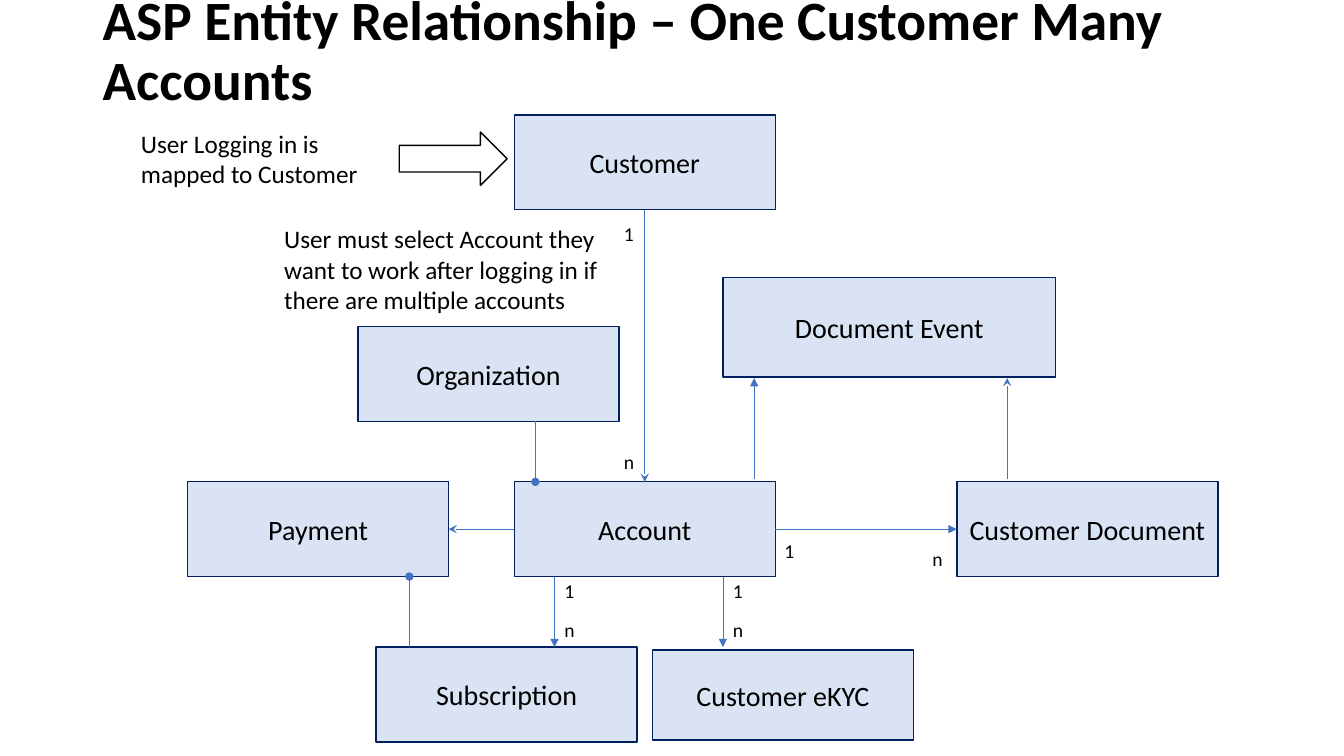
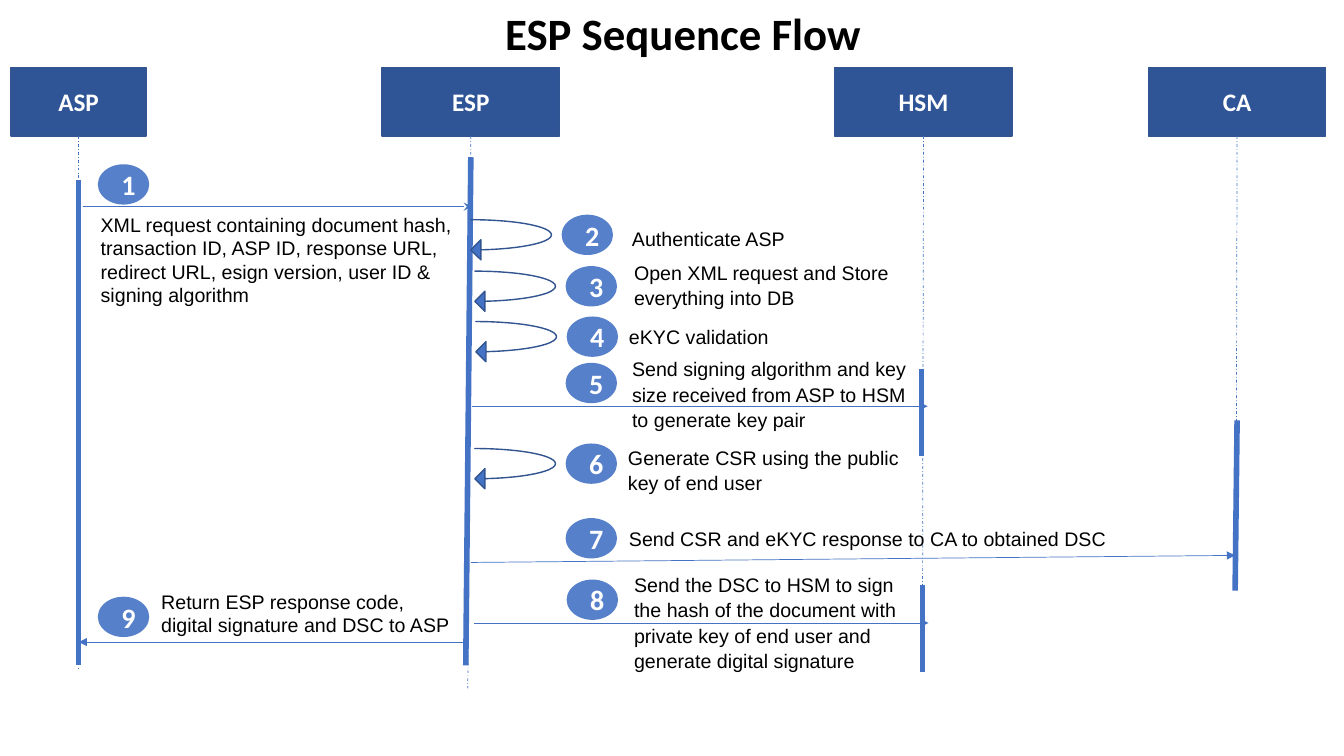
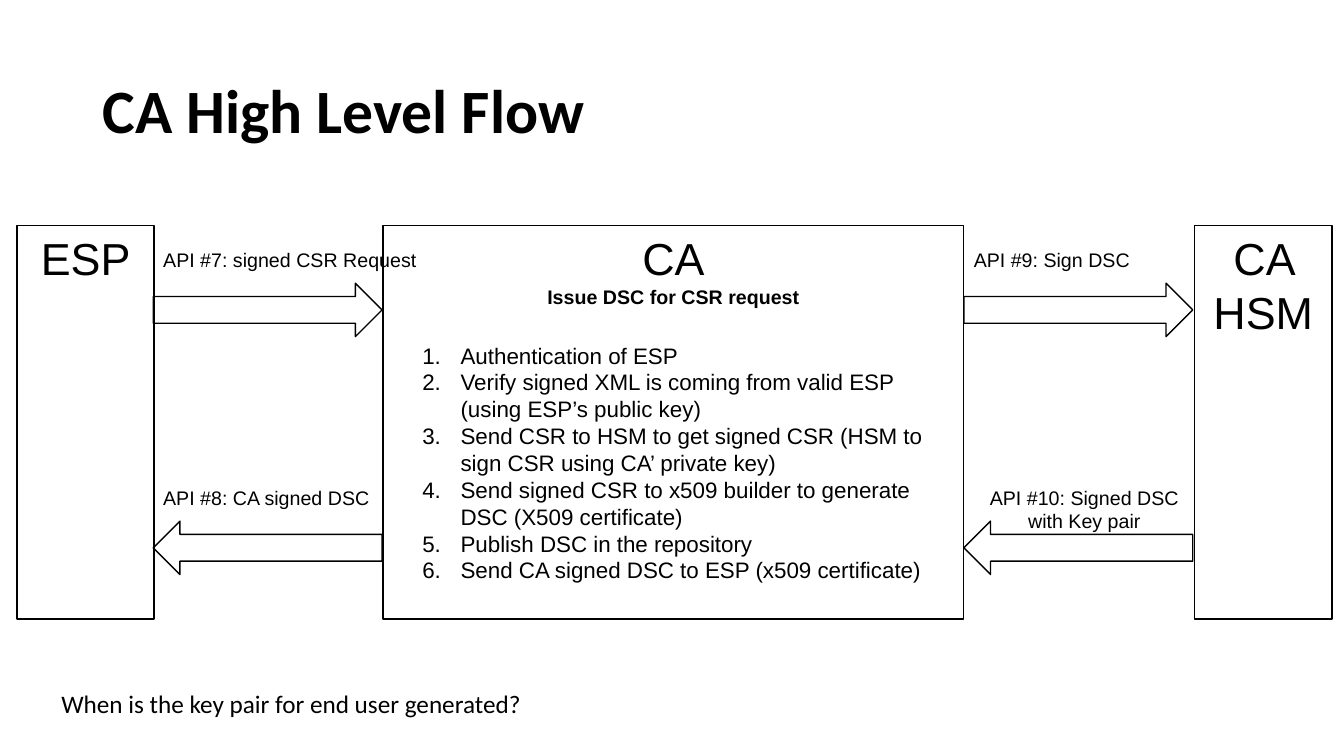
"""Build three slides on the entities and flows of an e-sign service."""
from dataclasses import dataclass, replace
from typing import NamedTuple

from lxml.etree import SubElement
from pptx import Presentation
from pptx.dml.color import RGBColor
from pptx.enum.dml import MSO_LINE
from pptx.enum.shapes import MSO_CONNECTOR, MSO_SHAPE
from pptx.enum.text import MSO_ANCHOR, PP_ALIGN
from pptx.oxml.ns import qn
from pptx.shapes.autoshape import Shape
from pptx.shapes.connector import Connector
from pptx.slide import Slide
from pptx.text.text import TextFrame
from pptx.util import Inches, Length, Pt

TOP, LEFT, BOTTOM, RIGHT = range(4)


@dataclass(frozen=True)
class Style:
    """Look of one kind of text."""

    size: float
    font: str = "Calibri"
    bold: bool = False
    color: str = "000000"
    align: PP_ALIGN = PP_ALIGN.LEFT
    lead: float = 1.0


@dataclass(frozen=True)
class Theme:
    """Colours, line widths and type of the whole deck."""

    black: str = "000000"
    pale: str = "DAE3F3"
    navy: str = "002060"
    blue: str = "4472C4"
    deep: str = "2F5597"
    edge: str = "325491"
    disc: str = "5780CA"
    thin: float = 0.5
    rim: float = 1
    thick: float = 4
    title: Style = Style(44, bold=True, lead=0.9)
    entity: Style = Style(20, align=PP_ALIGN.CENTER)
    mark: Style = Style(14)
    note: Style = Style(18)
    actor: Style = Style(18, bold=True, color="FFFFFF", align=PP_ALIGN.CENTER)
    number: Style = Style(20, bold=True, color="FFFFFF", align=PP_ALIGN.CENTER)
    label: Style = Style(14, "Arial")
    loose: Style = Style(14, "Arial", lead=1.07)
    party: Style = Style(32, "Arial", align=PP_ALIGN.CENTER)
    task: Style = Style(14, "Arial", bold=True, align=PP_ALIGN.CENTER)
    item: Style = Style(16, "Arial")


THEME = Theme()


class Box(NamedTuple):
    """Place on a grid of tenths of an inch."""

    col: float
    row: float
    wide: float
    high: float


class Wire(NamedTuple):
    """Straight line between two grid points, with a tip at its end."""

    x1: float
    y1: float
    x2: float
    y2: float
    tip: str = ""


class Join(NamedTuple):
    """Line glued to the sides of two entities."""

    start: str
    out: int
    end: str
    into: int
    tip: str


class Actor(NamedTuple):
    """Head of a sequence column, its lifeline and its active spans."""

    name: str
    col: float
    wide: float
    foot: tuple[float, float]
    bars: list[Wire]


class Step(NamedTuple):
    """Numbered message of the sequence."""

    number: int
    col: float
    row: float
    text: str
    box: Box
    style: Style = THEME.loose
    loop: bool = False


def cell(count: float) -> Length:
    """Turn grid cells into a length."""
    return Inches(count / 10)


def fill_text(frame: TextFrame, lines: list[tuple[str, Style]],
              anchor: MSO_ANCHOR, listed: bool = False) -> None:
    """Write styled paragraphs, numbered if asked."""
    frame.word_wrap = True
    frame.vertical_anchor = anchor
    for i, (text, style) in enumerate(lines):
        para = frame.paragraphs[0] if i == 0 else frame.add_paragraph()
        para.text = text
        para.alignment = style.align
        para.line_spacing = style.lead
        if listed:
            props = para._p.get_or_add_pPr()
            props.set("marL", str(cell(3.8)))
            props.set("indent", str(-cell(3.8)))
            SubElement(props, qn("a:buAutoNum"), type="arabicPeriod")
        font = para.font
        font.name, font.size, font.bold = style.font, Pt(style.size), style.bold
        font.color.rgb = RGBColor.from_string(style.color)


def add_text(slide: Slide, box: Box, text: str, style: Style,
             anchor: MSO_ANCHOR = MSO_ANCHOR.TOP) -> None:
    """Add a text box of one paragraph."""
    shape = slide.shapes.add_textbox(*map(cell, box))
    fill_text(shape.text_frame, [(text, style)], anchor)


def add_title(slide: Slide, box: Box, text: str, style: Style = THEME.title) -> None:
    """Add the slide title."""
    add_text(slide, box, text, style, MSO_ANCHOR.MIDDLE)


def add_form(slide: Slide, kind: MSO_SHAPE, box: Box,
             fill: str = "", line: str = "") -> Shape:
    """Add a flat preset shape; an empty colour means none."""
    shape = slide.shapes.add_shape(kind, *map(cell, box))
    shape.shadow.inherit = False
    if fill:
        shape.fill.solid()
        shape.fill.fore_color.rgb = RGBColor.from_string(fill)
    else:
        shape.fill.background()
    if line:
        shape.line.color.rgb = RGBColor.from_string(line)
        shape.line.width = Pt(THEME.rim)
    else:
        shape.line.fill.background()
    return shape


def add_block(slide: Slide, box: Box, lines: list[tuple[str, Style]], fill: str = "",
              line: str = THEME.black, anchor: MSO_ANCHOR = MSO_ANCHOR.MIDDLE) -> Shape:
    """Add a rectangle with text."""
    shape = add_form(slide, MSO_SHAPE.RECTANGLE, box, fill, line)
    fill_text(shape.text_frame, lines, anchor)
    return shape


def add_wire(slide: Slide, wire: Wire, width: float = THEME.thin,
             dashed: bool = False) -> Connector:
    """Add a straight line."""
    link = slide.shapes.add_connector(MSO_CONNECTOR.STRAIGHT, *map(cell, wire[:4]))
    link.line.color.rgb = RGBColor.from_string(THEME.blue)
    link.line.width = Pt(width)
    if dashed:
        link.line.dash_style = MSO_LINE.DASH_DOT
    if wire.tip:
        SubElement(link.line._get_or_add_ln(), qn("a:tailEnd"), type=wire.tip)
    SubElement(link._element.spPr, qn("a:effectLst"))
    return link


def draw_model(slide: Slide) -> None:
    """Draw the entity relationship slide."""
    wide, high, mid = 25.9, 9.4, 47.8
    base = mid + high
    add_title(slide, Box(9.2, 0, 124.1, 10.5),
              "ASP Entity Relationship – One Customer Many Accounts",
              replace(THEME.title, size=39.6))
    places = {
        "Customer": Box(51, 11.4, wide, high),
        "Account": Box(51, mid, wide, high),
        "Subscription": Box(37.3, 64.2, wide, high),
        "Customer Document": Box(94.9, mid, wide, high),
        "Customer eKYC": Box(64.7, 64.5, wide, 8.9),
        "Document Event": Box(71.7, 27.5, 33, 9.9),
        "Payment": Box(18.6, mid, wide, high),
        "Organization": Box(35.5, 32.4, wide, high),
    }
    nodes = {name: add_block(slide, box, [(name, THEME.entity)], THEME.pale, THEME.navy)
             for name, box in places.items()}
    joins = [
        Join("Customer", BOTTOM, "Account", TOP, "stealth"),
        Join("Account", RIGHT, "Customer Document", LEFT, "triangle"),
        Join("Account", LEFT, "Payment", RIGHT, "stealth"),
    ]
    for join in joins:
        link = add_wire(slide, Wire(0, 0, 1, 1, join.tip))
        link.begin_connect(nodes[join.start], join.out)
        link.end_connect(nodes[join.end], join.into)
    wires = [
        Wire(55, base, 55, 64.2, "triangle"),
        Wire(71.7, base, 71.7, 64.2, "triangle"),
        Wire(74.8, 47.5, 74.8, 37.5, "triangle"),
        Wire(99.9, 47.5, 99.9, 37.5, "stealth"),
        Wire(53.1, 41.8, 53.1, mid, "oval"),
        Wire(40.6, 64.2, 40.6, base, "oval"),
    ]
    for wire in wires:
        add_wire(slide, wire)
    marks = [("1", 60.9, 21.5), ("n", 60.9, 44.1), ("1", 76.8, 53), ("n", 91.5, 53.8)]
    marks += [(text, col, row) for col in (55, 71.7)
              for text, row in (("1", 56.9), ("n", 60.8))]
    for text, col, row in marks:
        add_text(slide, Box(col, row, 3.1, 3.4), text, THEME.mark)
    add_form(slide, MSO_SHAPE.RIGHT_ARROW, Box(39.6, 13.1, 10.7, 5.3), line=THEME.black)
    add_text(slide, Box(13, 12.2, 27.6, 7.1),
             "User Logging in is mapped to Customer", THEME.note)
    add_text(slide, Box(27.2, 21.7, 36.1, 10.1),
             "User must select Account they want to work after logging in "
             "if there are multiple accounts", THEME.note)


def add_actor(slide: Slide, actor: Actor) -> None:
    """Draw one column of the sequence."""
    head = add_block(slide, Box(actor.col, 6.7, actor.wide, 6.8),
                     [(actor.name, THEME.actor)], THEME.deep, THEME.edge)
    mid = actor.col + actor.wide / 2
    life = add_wire(slide, Wire(mid, 13.5, *actor.foot), dashed=True)
    life.begin_connect(head, BOTTOM)
    for bar in actor.bars:
        add_wire(slide, bar, THEME.thick)


def add_step(slide: Slide, step: Step) -> None:
    """Draw one numbered step with its text and, if any, its loop."""
    disc = add_form(slide, MSO_SHAPE.OVAL, Box(step.col, step.row, 5.1, 4), THEME.disc)
    frame = disc.text_frame
    fill_text(frame, [(str(step.number), THEME.number)], MSO_ANCHOR.MIDDLE)
    frame.margin_left = cell(1)
    frame.margin_right = frame.margin_top = frame.margin_bottom = 0
    add_text(slide, step.box, step.text, step.style)
    if step.loop:
        loop = add_form(slide, MSO_SHAPE.CURVED_LEFT_ARROW,
                        Box(step.col - 9, step.row + 0.5, 8, 4), THEME.blue, THEME.edge)
        for i, value in enumerate((0, 0.5, 0.25)):
            loop.adjustments[i] = value


def draw_sequence(slide: Slide) -> None:
    """Draw the sequence slide."""
    add_title(slide, Box(2.2, 0.5, 131.1, 6.1), "ESP Sequence Flow",
              replace(THEME.title, size=32, align=PP_ALIGN.CENTER))
    actors = [
        Actor("ASP", 1.1, 13.4, (7.8, 66.4), [Wire(7.8, 17.9, 7.8, 66)]),
        Actor("ESP", 37.9, 17.6, (46.4, 68.3), [Wire(46.7, 15.6, 46.2, 66)]),
        Actor("HSM", 82.8, 17.6, (91.5, 59.3),
              [Wire(91.4, 36.6, 91.4, 45.2), Wire(91.5, 58, 91.5, 66.7)]),
        Actor("CA", 113.9, 17.6, (122.6, 54.9), [Wire(122.7, 41.7, 122.5, 58.6)]),
    ]
    for actor in actors:
        add_actor(slide, actor)
    calls = [
        Wire(8.2, 20.5, 46.8, 20.5, "stealth"),
        Wire(46.8, 40.3, 92, 40.3, "triangle"),
        Wire(46.7, 55.8, 122.5, 55.1, "triangle"),
        Wire(47, 61.8, 92.1, 61.8, "triangle"),
        Wire(46.5, 63.7, 7.8, 63.7, "triangle"),
    ]
    for call in calls:
        add_wire(slide, call)
    steps = [
        Step(1, 9.7, 16.3, "XML request containing document hash, transaction ID, ASP ID, "
             "response URL, redirect URL, esign version, user ID & signing algorithm",
             Box(9, 20.6, 38.1, 10.4), THEME.label),
        Step(2, 55.7, 21.3, "Authenticate ASP", Box(61.7, 22, 30.3, 3.4),
             THEME.label, True),
        Step(3, 56.1, 26.4, "Open XML request and Store everything into DB",
             Box(61.9, 25.2, 30.3, 5.9), loop=True),
        Step(4, 56.2, 31.4, "eKYC validation", Box(61.4, 31.6, 29.7, 3.3), loop=True),
        Step(5, 56.1, 36, "Send signing algorithm and key size received from ASP to HSM "
             "to generate key pair", Box(61.7, 34.8, 29.9, 8.4)),
        Step(6, 56.1, 44, "Generate CSR using the public key of end user",
             Box(61.3, 43.6, 29.1, 5.9), loop=True),
        Step(7, 56.1, 51.4, "Send CSR and eKYC response to CA to obtained DSC",
             Box(61.4, 51.6, 49.4, 3.3)),
        Step(8, 56.2, 57.5, "Send the DSC to HSM to sign the hash of the document with "
             "private key of end user and generate digital signature",
             Box(61.9, 56.2, 29.5, 10.9)),
        Step(9, 9.7, 59.2, "Return ESP response code, digital signature and DSC to ASP",
             Box(15, 58, 30.8, 5.7), THEME.label),
    ]
    for step in steps:
        add_step(slide, step)


def draw_flow(slide: Slide) -> None:
    """Draw the high level flow slide."""
    add_title(slide, Box(9.2, 4, 115, 14.5), "CA High Level Flow")
    parties = [
        (1.7, 13.6, [("ESP", THEME.party)]),
        (38, 57.6, [("CA", THEME.party), ("Issue DSC for CSR request", THEME.task)]),
        (118.5, 13.6, [("CA HSM", THEME.party)]),
    ]
    for col, wide, lines in parties:
        add_block(slide, Box(col, 22.4, wide, 39), lines, anchor=MSO_ANCHOR.TOP)
    center = replace(THEME.label, align=PP_ALIGN.CENTER)
    gaps = [
        (15.2, ("API #7: signed CSR Request", 27.8, THEME.label),
         ("API #8: CA signed DSC", 22.6, THEME.label)),
        (95.6, ("API #9: Sign DSC", 17.6, THEME.label),
         ("API #10: Signed DSC with Key pair", 23.9, center)),
    ]
    rows = [(MSO_SHAPE.RIGHT_ARROW, 28.1, 24.1), (MSO_SHAPE.LEFT_ARROW, 51.7, 47.7)]
    for col, *labels in gaps:
        for (kind, row, head), (text, wide, style) in zip(rows, labels):
            add_form(slide, kind, Box(col, row, 22.7, 5.3), line=THEME.black)
            add_text(slide, Box(col, head, wide, 3.4), text, style)
    items = [
        "Authentication of ESP",
        "Verify signed XML is coming from valid ESP (using ESP’s public key)",
        "Send CSR to HSM to get signed CSR (HSM to sign CSR using CA’ private key)",
        "Send signed CSR to x509 builder to generate DSC (X509 certificate)",
        "Publish DSC in the repository",
        "Send CA signed DSC to ESP (x509 certificate)",
    ]
    tasks = slide.shapes.add_textbox(*map(cell, Box(40.9, 33.4, 53.4, 25.5)))
    fill_text(tasks.text_frame, [(item, THEME.item) for item in items],
              MSO_ANCHOR.TOP, listed=True)
    add_text(slide, Box(5.1, 67.8, 48.2, 4),
             "When is the key pair for end user generated?", THEME.note)


def main() -> None:
    """Build and save the deck."""
    deck = Presentation()
    deck.slide_width, deck.slide_height = Inches(13.33), Inches(7.5)
    for draw in (draw_model, draw_sequence, draw_flow):
        draw(deck.slides.add_slide(deck.slide_layouts[6]))
    deck.save("out.pptx")


if __name__ == "__main__":
    main()
